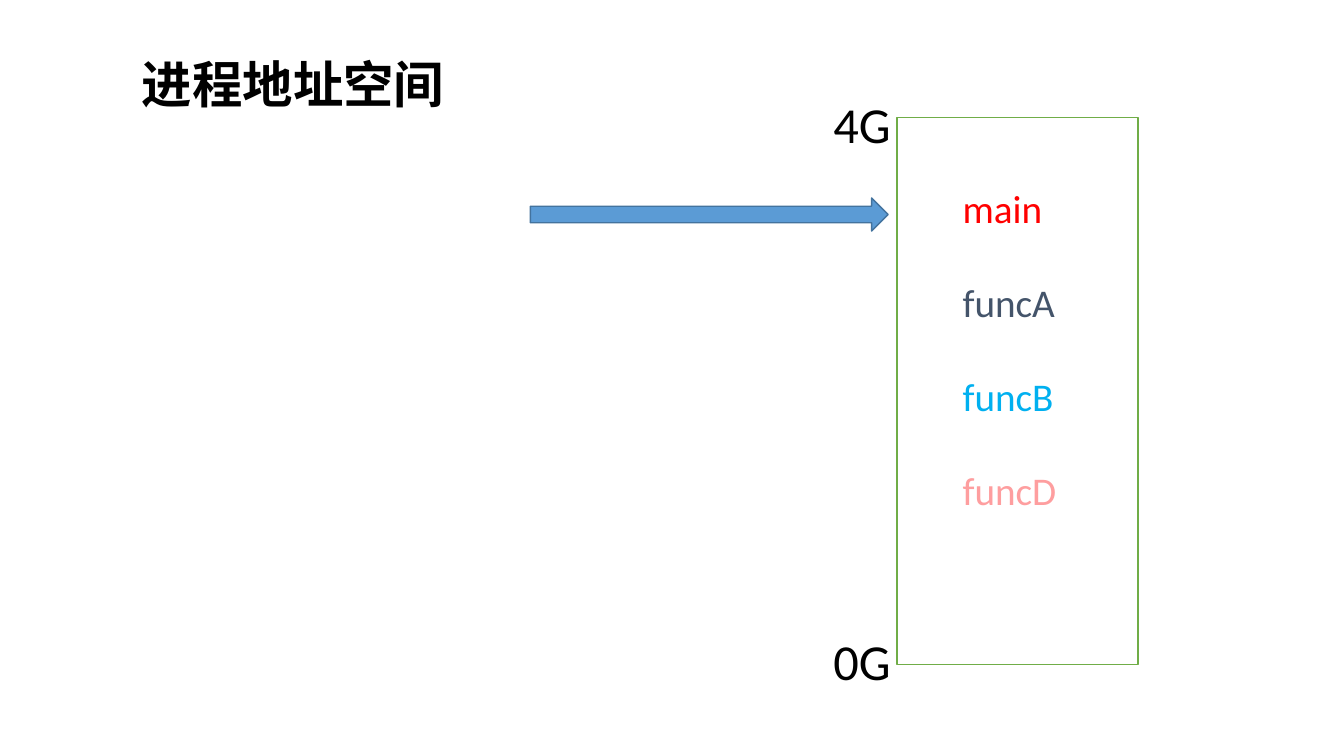
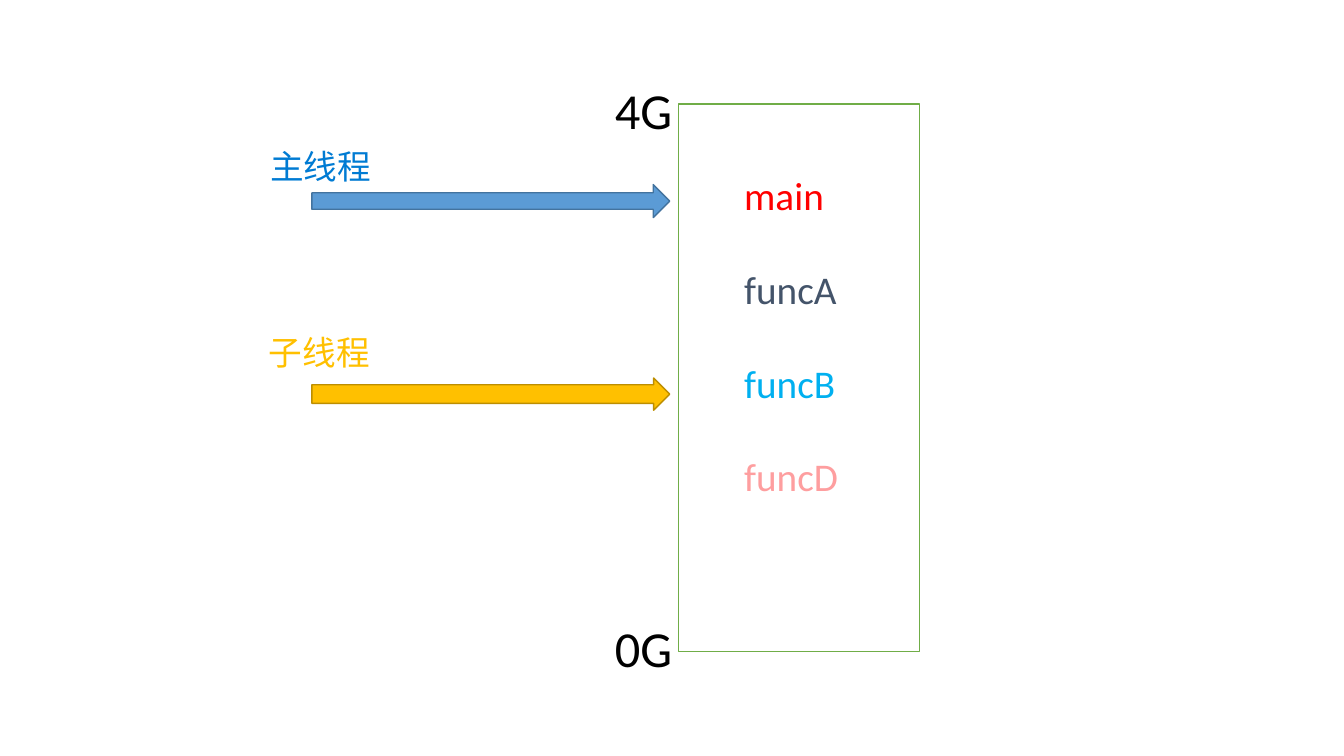
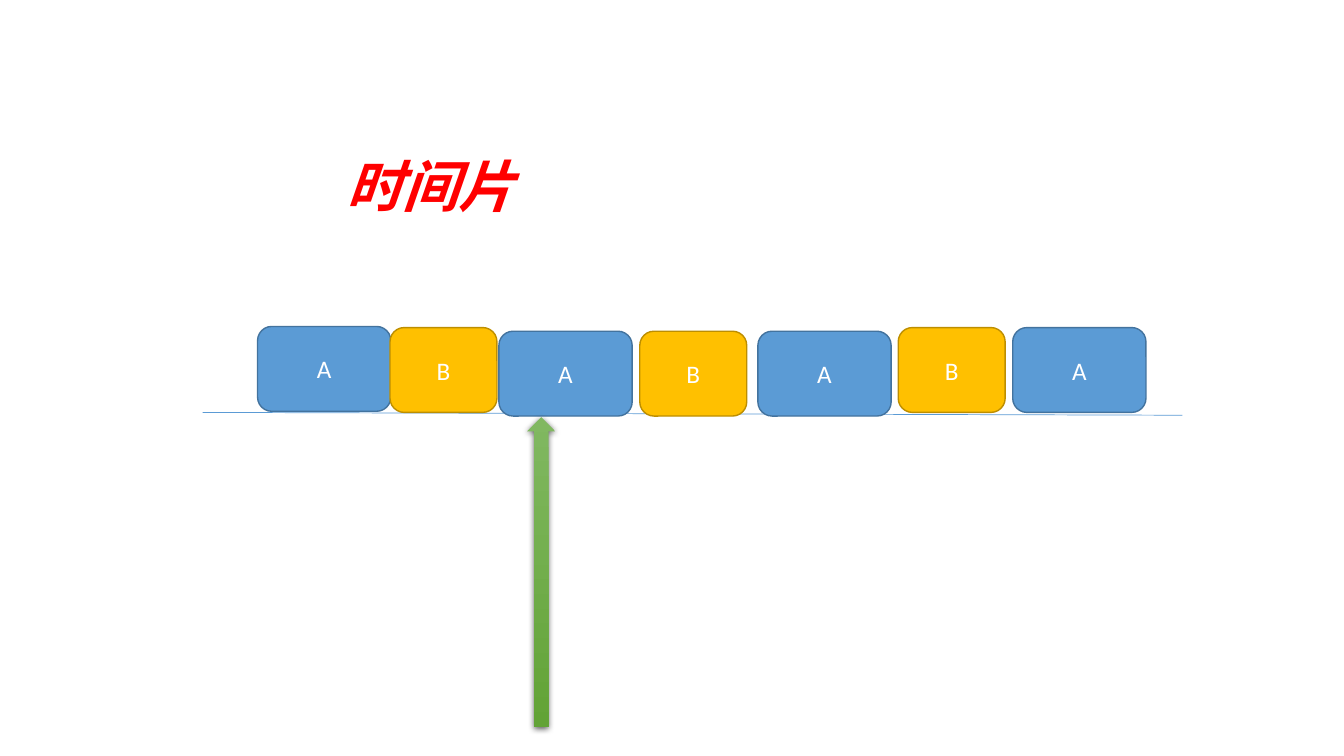
from lxml import etree
from pptx import Presentation
from pptx.dml.color import RGBColor
from pptx.enum.shapes import MSO_CONNECTOR, MSO_SHAPE
from pptx.enum.text import MSO_ANCHOR, PP_ALIGN
from pptx.oxml.ns import qn
from pptx.util import Pt

RECTANGLE = MSO_SHAPE.RECTANGLE
ROUNDED = MSO_SHAPE.ROUNDED_RECTANGLE
RIGHT_ARROW = MSO_SHAPE.RIGHT_ARROW
UP_ARROW = MSO_SHAPE.UP_ARROW
STRAIGHT = MSO_CONNECTOR.STRAIGHT
CENTER = PP_ALIGN.CENTER
MIDDLE = MSO_ANCHOR.MIDDLE

FONT = "Calibri"
BLACK, WHITE, RED = "000000", "FFFFFF", "FF0000"
BLUE, BLUE_EDGE = "5B9BD5", "43739E"
GOLD, GOLD_EDGE = "FFC000", "BD8E00"
GREEN = "70AD47"
FUNCTIONS = [("main", RED), ("funcA", "44546A"),
             ("funcB", "00B0F0"), ("funcD", "FE9E9F")]
SPACE_W, SPACE_H = 172, 391
ARROW_W, ARROW_H = 255.6, 23.6


def rgb(color):
    return RGBColor.from_string(color)


def add_run(paragraph, text, size, color, bold=False, italic=False):
    run = paragraph.add_run()
    run.text = text
    font = run.font
    font.name, font.size = FONT, Pt(size)
    font.bold, font.italic = bold, italic
    font.color.rgb = rgb(color)


def add_text(slide, left, top, width, height, lines, size,
             gap=0, indent=0, **style):
    """Place (text, color) lines, one paragraph each, with a gap between."""
    box = slide.shapes.add_textbox(Pt(left), Pt(top), Pt(width), Pt(height))
    frame = box.text_frame
    frame.word_wrap = True
    frame.margin_left = Pt(7.2 + indent)
    for index, (text, color) in enumerate(lines):
        paragraph = frame.add_paragraph() if index else frame.paragraphs[0]
        if index:
            paragraph.space_before = Pt(gap)
        add_run(paragraph, text, size, color, **style)


def add_block(slide, kind, left, top, width, height, fill, edge):
    block = slide.shapes.add_shape(kind, Pt(left), Pt(top), Pt(width), Pt(height))
    block.shadow.inherit = False
    block.fill.solid()
    block.fill.fore_color.rgb = rgb(fill)
    block.line.color.rgb = rgb(edge)
    block.line.width = Pt(1)
    return block


def add_address_space(slide, left, top):
    """Draw the 0G to 4G memory box, its functions and the main thread arrow."""
    add_block(slide, RECTANGLE, left, top, SPACE_W, SPACE_H, WHITE, GREEN)
    add_text(slide, left + 8.6, top + 44.6, 157, 245, FUNCTIONS, 28,
             gap=33.4, indent=31)
    add_block(slide, RIGHT_ARROW, left - 262, top + 57.6, ARROW_W, ARROW_H,
              BLUE, BLUE_EDGE)
    for label, offset in (("4G", -20.9), ("0G", 362.9)):
        add_text(slide, left - 52.6, top + offset, 67, 51, [(label, BLACK)], 36)


def add_time_slice(slide, label, left, top):
    width, fill, edge = {"A": (95.2, BLUE, BLUE_EDGE),
                         "B": (76.4, GOLD, GOLD_EDGE)}[label]
    block = add_block(slide, ROUNDED, left, top, width, 60.6, fill, edge)
    block.text_frame.vertical_anchor = MIDDLE
    paragraph = block.text_frame.paragraphs[0]
    paragraph.alignment = CENTER
    add_run(paragraph, label, 18, WHITE)


def add_time_axis(slide):
    axis = slide.shapes.add_connector(STRAIGHT, Pt(144.8), Pt(294.6),
                                      Pt(844.6), Pt(296.6))
    axis.line.color.rgb = rgb(BLUE)
    axis.line.width = Pt(0.5)
    etree.SubElement(axis._element.spPr, qn("a:effectLst"))


def add_current_marker(slide):
    """Draw the shaded arrow that points at the running time slice."""
    marker = add_block(slide, UP_ARROW, 376.5, 298, 20.2, 221, GREEN, GREEN)
    marker.line.fill.background()
    marker.fill.gradient()
    marker.fill.gradient_angle = 270
    for stop, position, color in zip(marker.fill.gradient_stops, (0, 1),
                                     ("81B861", "62A336")):
        stop.position = position
        stop.color.rgb = rgb(color)
    effects = marker._element.spPr.find(qn("a:effectLst"))
    shadow = etree.SubElement(effects, qn("a:outerShdw"), blurRad=str(Pt(4.5)),
                              dist=str(Pt(1.5)), dir="5400000", rotWithShape="0")
    tint = etree.SubElement(shadow, qn("a:srgbClr"), val=BLACK)
    etree.SubElement(tint, qn("a:alpha"), val="63000")


def build_process_slide(slide):
    add_address_space(slide, 640.8, 83.8)
    add_text(slide, 94.3, 34.6, 246, 51, [("进程地址空间", BLACK)], 36, bold=True)


def build_thread_slide(slide):
    add_address_space(slide, 484.8, 74.2)
    child_arrow = add_block(slide, RIGHT_ARROW, 222.8, 270, ARROW_W, 23,
                            GOLD, GOLD_EDGE)
    child_arrow.adjustments[0] = 0.58
    add_text(slide, 185.8, 100.8, 112, 36, [("主线程", "007BD3")], 24)
    add_text(slide, 185, 233.3, 112, 36, [("子线程", GOLD)], 24)


def build_time_slice_slide(slide):
    add_time_axis(slide)
    for label, left, top in (("A", 184, 233.2), ("B", 278.6, 234),
                             ("A", 356.4, 236.6), ("B", 457, 236.6),
                             ("A", 541.4, 236.6), ("B", 641.6, 234),
                             ("A", 723.4, 234)):
        add_time_slice(slide, label, left, top)
    add_text(slide, 240.5, 104.4, 415, 55, [("时间片", RED)], 40,
             bold=True, italic=True)
    add_current_marker(slide)


def main():
    deck = Presentation()
    deck.slide_width, deck.slide_height = Pt(960), Pt(540)
    blank = deck.slide_layouts[6]
    for build in (build_process_slide, build_thread_slide, build_time_slice_slide):
        build(deck.slides.add_slide(blank))
    deck.save("out.pptx")


if __name__ == "__main__":
    main()
